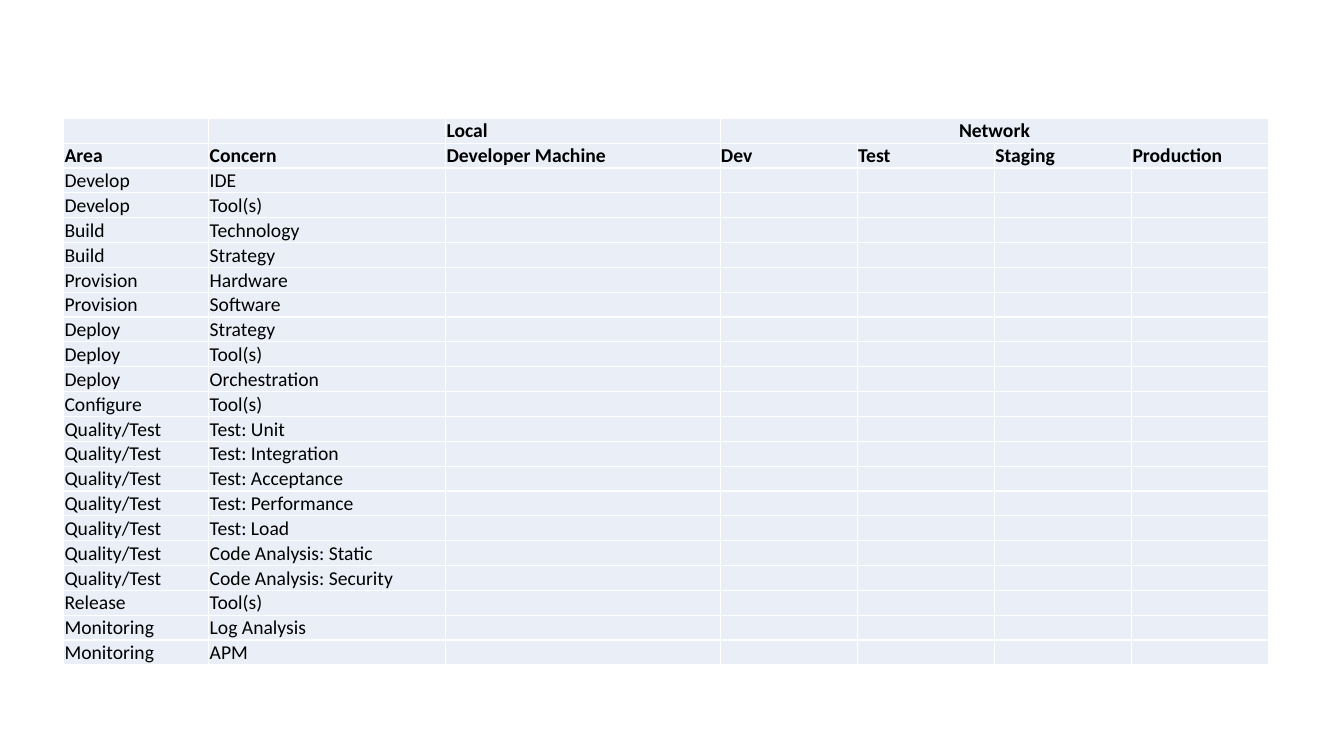
from lxml.etree import SubElement
from pptx import Presentation
from pptx.dml.color import RGBColor
from pptx.enum.text import MSO_ANCHOR, PP_ALIGN
from pptx.oxml import parse_xml
from pptx.oxml.ns import nsdecls, qn
from pptx.util import Pt

# Content
GROUPS = ["", "", "Local", "Network"]
HEADS = ["Area", "Concern", "Developer Machine", "Dev", "Test", "Staging", "Production"]
AREAS = [
    ("Develop", ["IDE", "Tool(s)"]),
    ("Build", ["Technology", "Strategy"]),
    ("Provision", ["Hardware", "Software"]),
    ("Deploy", ["Strategy", "Tool(s)", "Orchestration"]),
    ("Configure", ["Tool(s)"]),
    ("Quality/Test", ["Test: Unit", "Test: Integration", "Test: Acceptance",
                      "Test: Performance", "Test: Load",
                      "Code Analysis: Static", "Code Analysis: Security"]),
    ("Release", ["Tool(s)"]),
    ("Monitoring", ["Log Analysis", "APM"]),
]

THEME = {"font": "Calibri", "size": Pt(14), "ink": RGBColor(0, 0, 0),
         "fill": RGBColor(0xEA, 0xEF, 0xF7), "line": "FFFFFF", "rule": Pt(1)}

# Layout
LEFT, TOP = 45.5, 84.5
WIDTHS = [103.7, 169.2, 196] + [98] * 4
HEIGHT = 17.77
NET = GROUPS.index("Network")


def style(cell, text, bold, align):
    cell.fill.solid()
    cell.fill.fore_color.rgb = THEME["fill"]
    cell.vertical_anchor = MSO_ANCHOR.BOTTOM
    cell.margin_left = cell.margin_right = cell.margin_top = Pt(0.6)
    cell.margin_bottom = 0
    para = cell.text_frame.paragraphs[0]
    para.alignment = align
    font = para.font
    font.name, font.size, font.bold = THEME["font"], THEME["size"], bold
    font.color.rgb = THEME["ink"]
    if text:
        para.add_run().text = text
    else:
        # An empty cell keeps the row height of the type size
        SubElement(para._p, qn("a:endParaRPr"), sz=str(int(THEME["size"].pt * 100)))


def border(cell):
    props = cell._tc.get_or_add_tcPr()
    for spot, side in enumerate("LRTB"):
        props.insert(spot, parse_xml(
            f'<a:ln{side} {nsdecls("a")} w="{THEME["rule"]}"><a:solidFill>'
            f'<a:srgbClr val="{THEME["line"]}"/></a:solidFill></a:ln{side}>'))


def main():
    deck = Presentation()
    deck.slide_width, deck.slide_height = Pt(960), Pt(540)
    slide = deck.slides.add_slide(deck.slide_layouts[6])

    # Table frame
    rows = [GROUPS, HEADS] + [[area, item] for area, items in AREAS for item in items]
    grid = slide.shapes.add_table(
        len(rows), len(WIDTHS), Pt(LEFT), Pt(TOP),
        Pt(sum(WIDTHS)), Pt(HEIGHT * len(rows))).table
    grid.first_row = grid.horz_banding = False
    for col, width in zip(grid.columns, WIDTHS):
        col.width = Pt(width)

    # Cells
    for y, texts in enumerate(rows):
        grid.rows[y].height = Pt(HEIGHT)
        for x in range(len(WIDTHS)):
            cell = grid.cell(y, x)
            text = texts[x] if x < len(texts) else ""
            mid = (y, x) == (0, NET)
            style(cell, text, y < 2, PP_ALIGN.CENTER if mid else PP_ALIGN.LEFT)
            border(cell)
    grid.cell(0, NET).merge(grid.cell(0, len(WIDTHS) - 1))

    deck.save("out.pptx")


if __name__ == "__main__":
    main()
